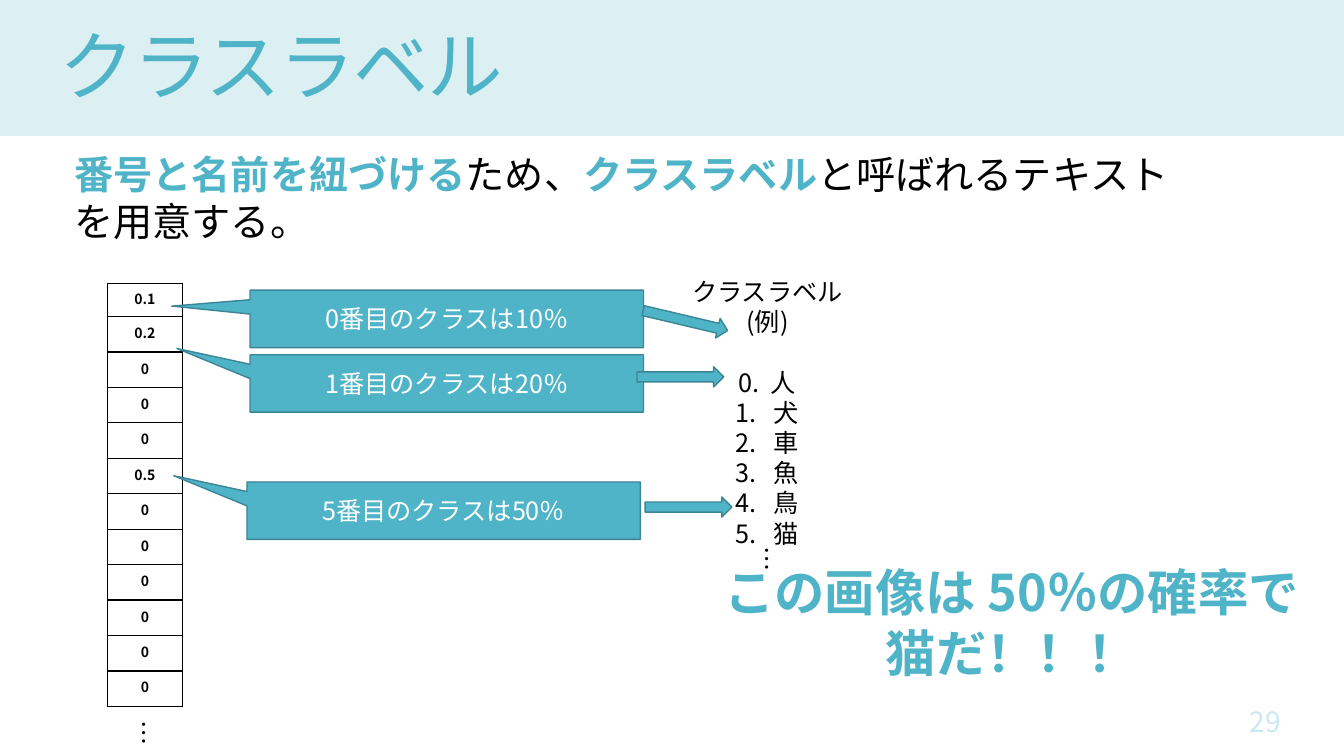
from lxml import etree
from pptx import Presentation
from pptx import util as u
from pptx.dml.color import RGBColor
from pptx.enum import shapes, text
from pptx.oxml.ns import qn

Pt = u.Pt
FONT = "Noto Sans CJK JP"
TEAL, DARK, PALE, BLACK, WHITE = "50B4C8", "3B8594", "DCF0F4", "000000", "FFFFFF"
MID = text.PP_ALIGN.CENTER


def dress(para, size, hue, bold=False, align=None):
    para.alignment = align
    para.line_spacing = Pt(round(size * 1.2, 1))
    for run in para.runs:
        run.font.name = FONT
        run.font.size = Pt(size)
        run.font.bold = bold
        run.font.color.rgb = RGBColor.from_string(hue)
        etree.SubElement(run.font._element, qn("a:ea"), typeface=FONT)


def paint(shape, fill, line=None):
    shape.shadow.inherit = False
    shape.fill.solid()
    shape.fill.fore_color.rgb = RGBColor.from_string(fill)
    if line:
        shape.line.color.rgb = RGBColor.from_string(line)
        shape.line.width = Pt(1)
    else:
        shape.line.fill.background()


deck = Presentation()
deck.slide_width, deck.slide_height = Pt(960), Pt(540)
slide = deck.slides.add_slide(deck.slide_layouts[5])
parts = slide.shapes

# Header band, behind the title
band = parts.add_shape(shapes.MSO_SHAPE.RECTANGLE, 0, Pt(-2), Pt(960), Pt(99))
paint(band, PALE)
parts._spTree.insert(2, band._element)

# Title
title = parts.title
title.left, title.top, title.width, title.height = Pt(35.3), Pt(8.6), Pt(848), Pt(74)
title.text_frame.text = "クラスラベル"
title.text_frame.auto_size = text.MSO_AUTO_SIZE.NONE
title.text_frame.vertical_anchor = text.MSO_ANCHOR.MIDDLE
head = title.text_frame.paragraphs[0]
dress(head, 54, TEAL, align=text.PP_ALIGN.LEFT)
head.runs[0].font._element.set("spc", "-120")

# Lead sentence
lead = parts.add_textbox(Pt(46), Pt(103.7), Pt(818), Pt(74)).text_frame
lead.word_wrap = True
line = lead.paragraphs[0]
for words in ("番号と名前を紐づける", "ため、", "クラスラベル", "と呼ばれるテキストを用意する。"):
    line.add_run().text = words
dress(line, 28, BLACK)
for run in line.runs[::2]:
    run.font.bold = True
    run.font.color.rgb = RGBColor.from_string(TEAL)

# Score column
scores = ["0.1", "0.2", "0", "0", "0", "0.5"] + ["0"] * 6
grid = parts.add_table(len(scores), 1, Pt(76.5), Pt(202.3), Pt(54), Pt(302.4)).table
grid.first_row = grid.horz_banding = False
for i, score in enumerate(scores):
    grid.rows[i].height = Pt(25.33 if i else 23.8)
    cell = grid.cell(i, 0)
    cell.text_frame.text = score
    cell.vertical_anchor = text.MSO_ANCHOR.MIDDLE
    dress(cell.text_frame.paragraphs[0], 10, BLACK, True, MID)
    props = cell._tc.get_or_add_tcPr()
    for side in ("lnL", "lnR", "lnT", "lnB"):
        edge = etree.SubElement(props, qn("a:" + side), w=str(Pt(1)))
        fill = etree.SubElement(edge, qn("a:solidFill"))
        etree.SubElement(fill, qn("a:srgbClr"), val=BLACK)
    cell.fill.background()

# Callouts that read the scores
calls = [
    (178.6, 207.3, -0.699, -0.222, "0番目のクラスは10％"),
    (178.6, 253.4, -0.686, -0.609, "1番目のクラスは20％"),
    (176.4, 344.3, -0.686, -0.609, "5番目のクラスは50％"),
]
for x, y, dx, dy, words in calls:
    call = parts.add_shape(shapes.MSO_SHAPE.RECTANGULAR_CALLOUT, Pt(x), Pt(y), Pt(281), Pt(41))
    call.adjustments[0], call.adjustments[1] = dx, dy
    paint(call, TEAL, DARK)
    call.text_frame.text = words
    call.text_frame.vertical_anchor = text.MSO_ANCHOR.MIDDLE
    dress(call.text_frame.paragraphs[0], 18, WHITE, align=MID)

# Class label list
names = parts.add_textbox(Pt(480.2), Pt(193.7), Pt(136), Pt(202)).text_frame
names.word_wrap = True
rows = ["クラスラベル\v(例)", "0.  人", "犬", "車", "魚", "鳥", "猫"]
names.text = "\n".join(rows)
for i, para in enumerate(names.paragraphs):
    dress(para, 18, BLACK, align=MID)
    if i == 1:
        para.space_before = Pt(21.6)
    if i > 1:
        props = para._p.get_or_add_pPr()
        props.set("marL", str(Pt(27)))
        props.set("indent", str(Pt(-27)))
        etree.SubElement(props, qn("a:buFont"), typeface=FONT)
        etree.SubElement(props, qn("a:buAutoNum"), type="arabicPeriod")

# Vertical dots under the column and the list
for x, y in ((87.1, 509), (532.1, 385.2)):
    dots = parts.add_textbox(Pt(x), Pt(y), Pt(32.4), Pt(28.8))
    dots.rotation = 90
    dots.text_frame.word_wrap = False
    dots.text_frame.text = "…"
    dress(dots.text_frame.paragraphs[0], 18, BLACK)

# Arrows from callouts to names
for x, y, turn in ((460.8, 355, 0), (458.6, 221.8, 13.3), (455, 262, 0)):
    arrow = parts.add_shape(shapes.MSO_SHAPE.RIGHT_ARROW, Pt(x), Pt(y), Pt(62), Pt(14.4))
    arrow.rotation = turn
    paint(arrow, TEAL, DARK)

# Conclusion
end = parts.add_textbox(Pt(489.6), Pt(397.4), Pt(466), Pt(94.3)).text_frame
end.word_wrap = True
end.text = "この画像は 50％の確率で\n猫だ！！！"
for para in end.paragraphs:
    dress(para, 36, TEAL, True, MID)

# Slide number
page = parts.add_textbox(Pt(840), Pt(499.5), Pt(82), Pt(32)).text_frame
page.text = "29"
dress(page.paragraphs[0], 20, "CBE9EF", align=text.PP_ALIGN.RIGHT)

deck.save("out.pptx")
